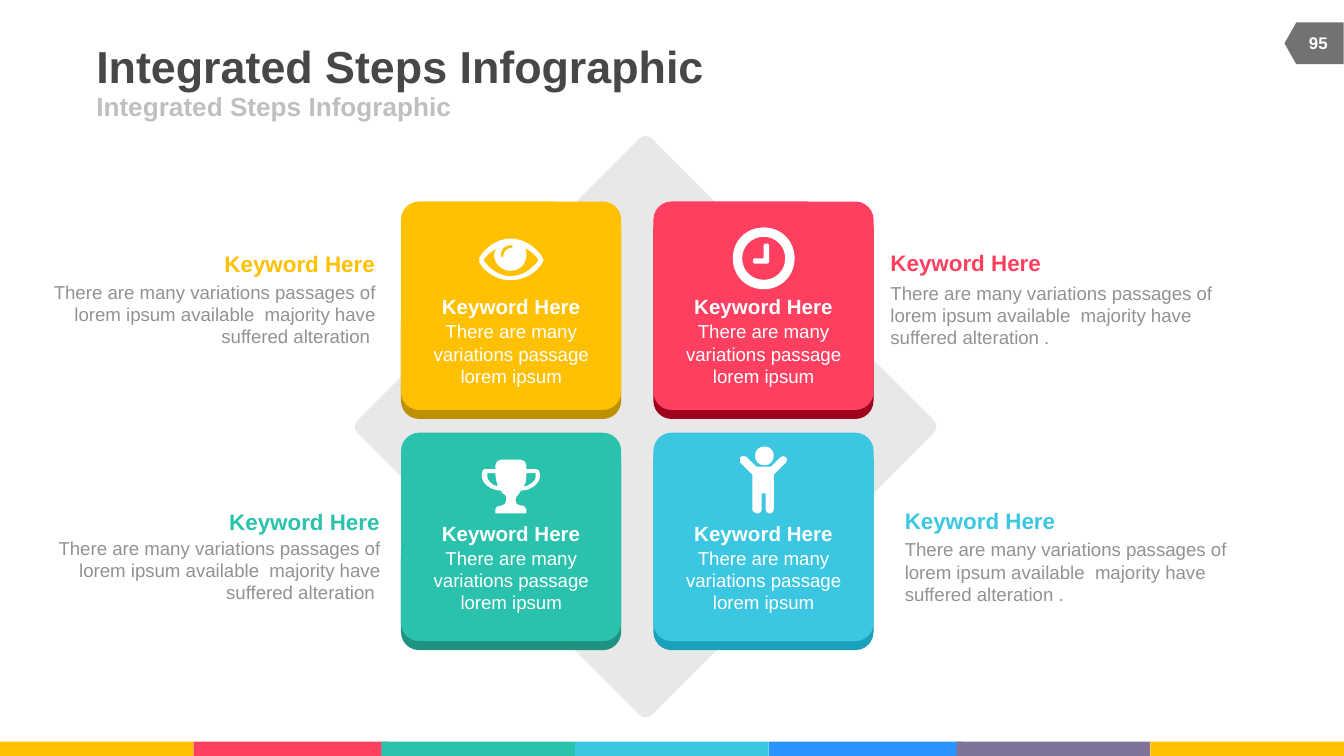
from dataclasses import dataclass

from lxml import etree
from pptx import Presentation
from pptx import util as u
from pptx.dml.color import RGBColor
from pptx.enum import shapes as kinds
from pptx.enum import text as t
from pptx.oxml import ns

Cm = u.Cm
SHAPE = kinds.MSO_SHAPE
LEFT, CENTER, RIGHT = t.PP_ALIGN.LEFT, t.PP_ALIGN.CENTER, t.PP_ALIGN.RIGHT
WHITE, GREY = "FFFFFF", "929292"
TILE_WIDTH, TILE_HEIGHT = 4.16, 3.94
ICON_UNIT = Cm(0.0254)


def color(value: str) -> RGBColor:
    return RGBColor.from_string(value)


def circle(x: int, y: int, radius: int) -> list:
    """Outline of four Bezier quarters."""
    r, k = radius, round(0.55 * radius)
    return [(x, y + r), (x - k, y + r, x - r, y + k, x - r, y),
            (x - r, y - k, x - k, y - r, x, y - r),
            (x + k, y - r, x + r, y - k, x + r, y),
            (x + r, y + k, x + k, y + r, x, y + r)]


# Pairs are corner points, sextuples are Bezier curves; each icon starts at 0, 0.
EYE = [
    [(47, 18), (42, 26, 33, 31, 23, 31), (14, 31, 5, 26, 0, 18), (0, 17, 0, 15, 0, 14),
     (5, 6, 14, 0, 23, 0), (33, 0, 42, 6, 47, 14), (48, 15, 48, 17, 47, 18)],
    [(34, 7), (35, 8, 35, 10, 35, 12), (35, 19, 30, 24, 23, 24), (17, 24, 11, 19, 11, 12),
     (11, 10, 12, 8, 14, 7), (9, 9, 6, 12, 3, 16), (8, 23, 15, 28, 23, 28),
     (32, 28, 39, 23, 44, 16), (42, 12, 38, 9, 34, 7)],
    [(23, 5), (19, 5, 16, 8, 16, 12), (16, 13, 16, 14, 17, 14), (18, 14, 18, 13, 18, 12),
     (18, 10, 21, 7, 23, 7), (24, 7, 25, 7, 25, 6), (25, 5, 24, 5, 23, 5)],
]
CLOCK = [
    circle(23, 23, 23), circle(23, 23, 16),
    [(27, 26), (26, 27), (16, 27), (15, 26), (15, 24), (16, 23), (23, 23), (23, 13),
     (24, 12), (26, 12), (27, 13)],
]
TROPHY = [
    [(43, 13), (43, 17, 37, 23, 29, 23), (28, 25, 27, 26, 27, 26), (26, 27, 25, 28, 25, 30),
     (25, 32, 26, 34, 28, 34), (31, 34, 33, 35, 33, 37), (33, 40), (10, 40), (10, 37),
     (10, 35, 13, 34, 15, 34), (17, 34, 18, 32, 18, 30), (18, 28, 18, 27, 17, 26),
     (16, 26, 15, 25, 14, 23), (6, 23, 0, 17, 0, 13), (0, 10), (0, 8, 1, 7, 2, 7), (10, 7),
     (10, 4), (10, 2, 12, 0, 14, 0), (29, 0), (31, 0, 33, 2, 33, 4), (33, 7), (40, 7),
     (42, 7, 43, 8, 43, 10)],
    [(10, 10), (4, 10), (4, 13), (4, 15, 7, 19, 12, 20), (11, 17, 10, 14, 10, 10)],
    [(40, 10), (33, 10), (33, 14, 33, 17, 31, 20), (37, 19, 40, 15, 40, 13)],
]
PERSON = [
    [(25, 21), (25, 47), (25, 48, 24, 50, 22, 50), (20, 50, 19, 48, 19, 47), (19, 35),
     (16, 35), (16, 47), (16, 48, 15, 50, 13, 50), (11, 50, 9, 48, 9, 47), (9, 21), (0, 12),
     (0, 11, 0, 9, 0, 8), (1, 7, 4, 7, 5, 8), (12, 15), (23, 15), (30, 8),
     (31, 7, 33, 7, 34, 8), (35, 9, 35, 11, 34, 12)],
    circle(18, 7, 7),
]


@dataclass
class Step:
    """One tile with its icon and the note beside it, in centimetres."""
    fill: str
    edge: str
    left: float
    top: float
    text_top: float
    icon: list
    icon_left: float
    icon_top: float
    note_left: float
    keyword_top: float
    note_top: float
    align: t.PP_ALIGN
    ending: str


STEPS = [
    Step("FFC000", "BF9000", 7.58, 3.81, 5.56, EYE, 9.06, 4.51,
         0.77, 4.72, 5.3, RIGHT, " "),
    Step("FF3F5F", "9F001B", 12.35, 3.81, 5.56, CLOCK, 13.85, 4.3,
         16.83, 4.71, 5.32, LEFT, " ."),
    Step("3BC7E2", "1CA1BA", 12.35, 8.18, 9.84, PERSON, 13.99, 8.44,
         17.1, 9.58, 10.17, LEFT, " ."),
    Step("2AC2AC", "209281", 7.58, 8.18, 9.84, TROPHY, 9.11, 8.69,
         0.86, 9.6, 10.14, RIGHT, " "),
]


def paint(shape, fill: str) -> None:
    shape.shadow.inherit = False
    shape.fill.solid()
    shape.fill.fore_color.rgb = color(fill)
    shape.line.fill.background()


def add_block(page, kind, left, top, width, height, fill, rotation=0, corner=None):
    block = page.shapes.add_shape(kind, Cm(left), Cm(top), Cm(width), Cm(height))
    paint(block, fill)
    block.rotation = rotation
    if corner is not None:
        block.adjustments[0] = corner


def write(box, content: str, size: float, ink: str, bold: bool, align,
          wrap: bool = True, anchor=t.MSO_ANCHOR.TOP):
    frame = box.text_frame
    layout = dict(margin_left=0, margin_right=0, margin_top=0, margin_bottom=0,
                  word_wrap=wrap, vertical_anchor=anchor, auto_size=t.MSO_AUTO_SIZE.NONE)
    for name, value in layout.items():
        setattr(frame, name, value)
    para = frame.paragraphs[0]
    para.alignment = align
    span = para.add_run()
    span.text = content
    for name, value in dict(name="Arial", size=u.Pt(size), bold=bold).items():
        setattr(span.font, name, value)
    span.font.color.rgb = color(ink)
    return para


def add_text(page, left, top, width, height, *args, **options):
    box = page.shapes.add_textbox(Cm(left), Cm(top), Cm(width), Cm(height))
    return write(box, *args, **options)


def add_heading(holder, content, left, top, width, height, size, ink):
    for name, value in dict(left=left, top=top, width=width, height=height).items():
        setattr(holder, name, Cm(value))
    para = write(holder, content, size, ink, True, LEFT, anchor=t.MSO_ANCHOR.MIDDLE)
    para.runs[0].font._element.set("cap", "none")


def add_icon(page, step: Step) -> None:
    """Draw the outlines through their end points, then bend the curved parts."""
    builder = page.shapes.build_freeform(*step.icon[0][0], scale=ICON_UNIT)
    for number, outline in enumerate(step.icon):
        if number:
            builder.move_to(*outline[0])
        builder.add_line_segments([part[-2:] for part in outline[1:]], close=True)
    icon = builder.convert_to_shape(Cm(step.icon_left), Cm(step.icon_top))
    paint(icon, WHITE)
    parts = [part for outline in step.icon for part in outline[1:]]
    lines = list(icon._element.iter(ns.qn("a:lnTo")))
    for line, part in zip(lines, parts):
        if len(part) == 6:
            curve = etree.Element(ns.qn("a:cubicBezTo"))
            for x, y in zip(part[::2], part[1::2]):
                etree.SubElement(curve, ns.qn("a:pt"), x=str(x), y=str(y))
            line.getparent().replace(line, curve)


def add_tile(page, step: Step) -> None:
    for drop, fill in ((0.17, step.edge), (0, step.fill)):
        add_block(page, SHAPE.ROUNDED_RECTANGLE, step.left, step.top + drop,
                  TILE_WIDTH, TILE_HEIGHT, fill, corner=0.087)
    middle = step.left + TILE_WIDTH / 2
    add_text(page, middle - 1.32, step.text_top, 2.64, 0.48,
             "Keyword Here", 11, WHITE, True, CENTER, wrap=False)
    para = add_text(page, middle - 1.66, step.text_top + 0.49, 3.32, 1.27,
                    "There are many variations passage lorem ipsum", 10, WHITE, False, CENTER)
    para.space_before = u.Pt(2)
    add_icon(page, step)


def add_note(page, step: Step) -> None:
    width, keyword_width = 6.32, 2.87
    shift = width - keyword_width if step.align == RIGHT else 0
    add_text(page, step.note_left + shift, step.keyword_top, keyword_width, 0.51,
             "Keyword Here", 12, step.fill, True, step.align, wrap=False)
    content = ("There are many variations passages of lorem ipsum available  "
               "majority have suffered alteration" + step.ending)
    para = add_text(page, step.note_left, step.note_top, width, 1.27,
                    content, 10, GREY, False, step.align)
    para.space_before = u.Pt(2)


def main() -> None:
    deck = Presentation()
    deck.slide_width, deck.slide_height = Cm(25.4), Cm(14.29)
    page = deck.slides.add_slide(deck.slide_layouts.get_by_name("Section Header"))

    strips = zip((0, 3.66, 7.21, 10.87, 14.53, 18.08, 21.74),
                 ("FFC000", "FF3F5F", "2AC2AC", "3BC7E2", "2993FF", "7F739A", "FFC000"))
    for left, fill in strips:
        add_block(page, SHAPE.RECTANGLE, left, 14.02, 3.66, 0.27, fill)

    add_block(page, SHAPE.FLOWCHART_OFFPAGE_CONNECTOR, 24.44, 0.26, 0.79, 1.12,
              "727272", rotation=90)
    add_text(page, 24.38, 0.43, 1.07, 0.76, "95", 9, WHITE, True, CENTER,
             anchor=t.MSO_ANCHOR.MIDDLE)

    title, subtitle = page.placeholders
    add_heading(title, "Integrated Steps Infographic", 1.82, 0.74, 15.67, 0.99, 24, "474747")
    add_heading(subtitle, "Integrated Steps Infographic", 1.82, 1.73, 11.43, 0.56, 14, "BFBFBF")

    add_block(page, SHAPE.ROUNDED_RECTANGLE, 8.27, 4.13, 7.87, 7.87, "E8E8E8",
              rotation=315, corner=0.021)
    for step in STEPS:
        add_tile(page, step)
        add_note(page, step)
    deck.save("out.pptx")


if __name__ == "__main__":
    main()
